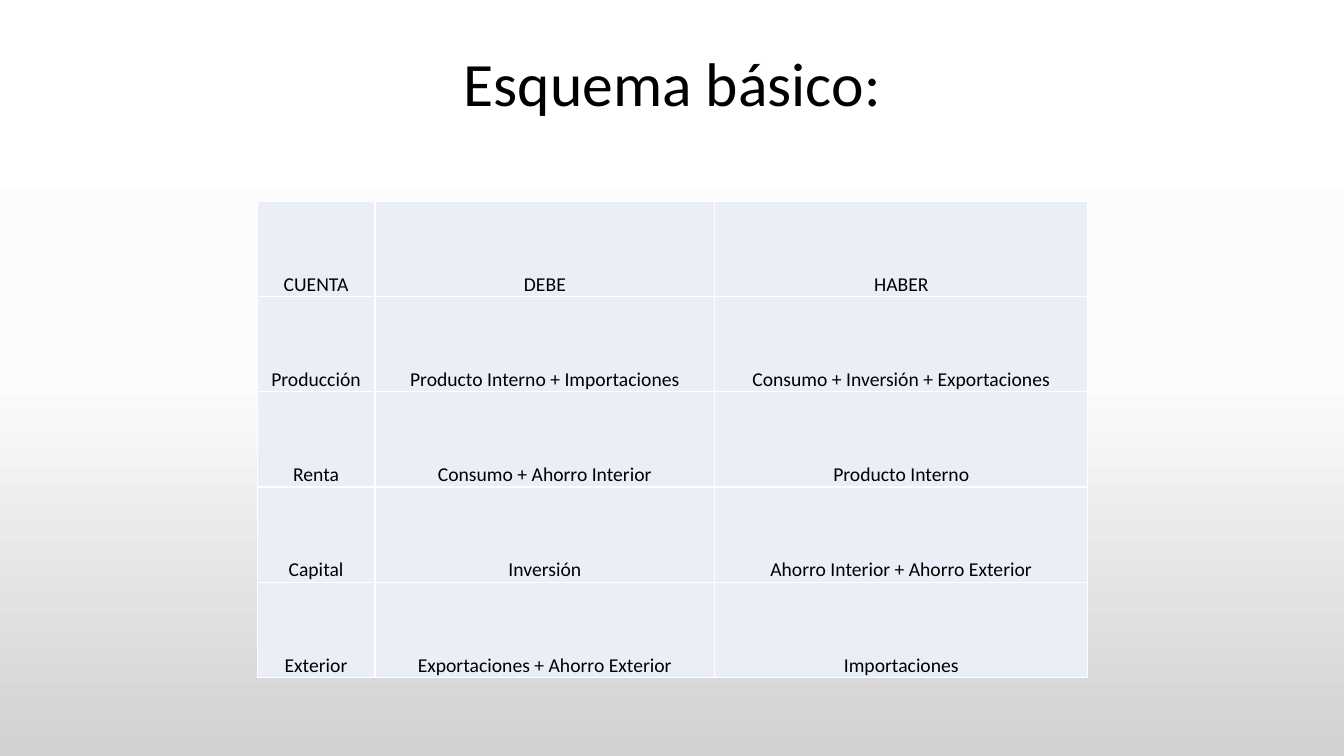
"""Build a slide with the basic scheme of national accounts."""
from copy import deepcopy

from lxml import etree
from pptx import Presentation
from pptx.dml.color import RGBColor
from pptx.enum.text import MSO_ANCHOR, PP_ALIGN
from pptx.oxml.ns import qn
from pptx.util import Inches, Pt

CENTER = PP_ALIGN.CENTER
MIDDLE = MSO_ANCHOR.MIDDLE
BOTTOM = MSO_ANCHOR.BOTTOM
FONT = "Calibri"
COLORS = {"text": "000000", "cell": "EAEFF7", "border": "FFFFFF"}
BACKGROUND_STOPS = [(0, "FFFFFF"), (0.5, "FBFBFB"), (1, "D1D1D1")]
BORDER_SIDES = ["a:lnL", "a:lnR", "a:lnT", "a:lnB"]
COLUMN_WIDTHS = [1.17, 3.37, 3.7]
ROW_HEIGHT = 0.944
ACCOUNTS = [
    ("CUENTA", "DEBE", "HABER"),
    ("Producción", "Producto Interno + Importaciones", "Consumo + Inversión + Exportaciones"),
    ("Renta", "Consumo + Ahorro Interior", "Producto Interno"),
    ("Capital", "Inversión", "Ahorro Interior + Ahorro Exterior"),
    ("Exterior", "Exportaciones + Ahorro Exterior", "Importaciones"),
]


def write_centered(text_frame, text, size):
    text_frame.text = text
    paragraph = text_frame.paragraphs[0]
    paragraph.alignment = CENTER
    font = paragraph.runs[0].font
    font.name = FONT
    font.size = Pt(size)
    font.bold = False
    font.color.rgb = RGBColor.from_string(COLORS["text"])


def add_borders(cell):
    properties = cell._tc.get_or_add_tcPr()
    for side in BORDER_SIDES:
        line = etree.SubElement(properties, qn(side), w=str(Pt(1)))
        fill = etree.SubElement(line, qn("a:solidFill"))
        etree.SubElement(fill, qn("a:srgbClr"), val=COLORS["border"])


presentation = Presentation()
presentation.slide_width = Inches(13.33)
presentation.slide_height = Inches(7.5)
slide = presentation.slides.add_slide(presentation.slide_layouts[6])

background = slide.background.fill
background.gradient()
background.gradient_angle = 270
stop_list = next(slide.element.iter(qn("a:gsLst")))
stop_list.append(deepcopy(stop_list[-1]))
for stop, (position, color) in zip(background.gradient_stops, BACKGROUND_STOPS):
    stop.position = position
    stop.color.rgb = RGBColor.from_string(color)

title = slide.shapes.add_textbox(Inches(0.92), Inches(0.28), Inches(11.5), Inches(1.15))
title.text_frame.word_wrap = True
title.text_frame.vertical_anchor = MIDDLE
write_centered(title.text_frame, "Esquema básico:", 44)
title.text_frame.paragraphs[0].line_spacing = 0.9

table = slide.shapes.add_table(
    len(ACCOUNTS), len(COLUMN_WIDTHS), Inches(2.55), Inches(2),
    Inches(sum(COLUMN_WIDTHS)), Inches(ROW_HEIGHT * len(ACCOUNTS)),
).table
for column, width in zip(table.columns, COLUMN_WIDTHS):
    column.width = Inches(width)

for row, account in zip(table.rows, ACCOUNTS):
    row.height = Inches(ROW_HEIGHT)
    for cell, text in zip(row.cells, account):
        write_centered(cell.text_frame, text, 14)
        cell.vertical_anchor = BOTTOM
        cell.margin_left = cell.margin_right = cell.margin_top = Inches(0.01)
        cell.margin_bottom = 0
        add_borders(cell)
        cell.fill.solid()
        cell.fill.fore_color.rgb = RGBColor.from_string(COLORS["cell"])

presentation.save("out.pptx")
